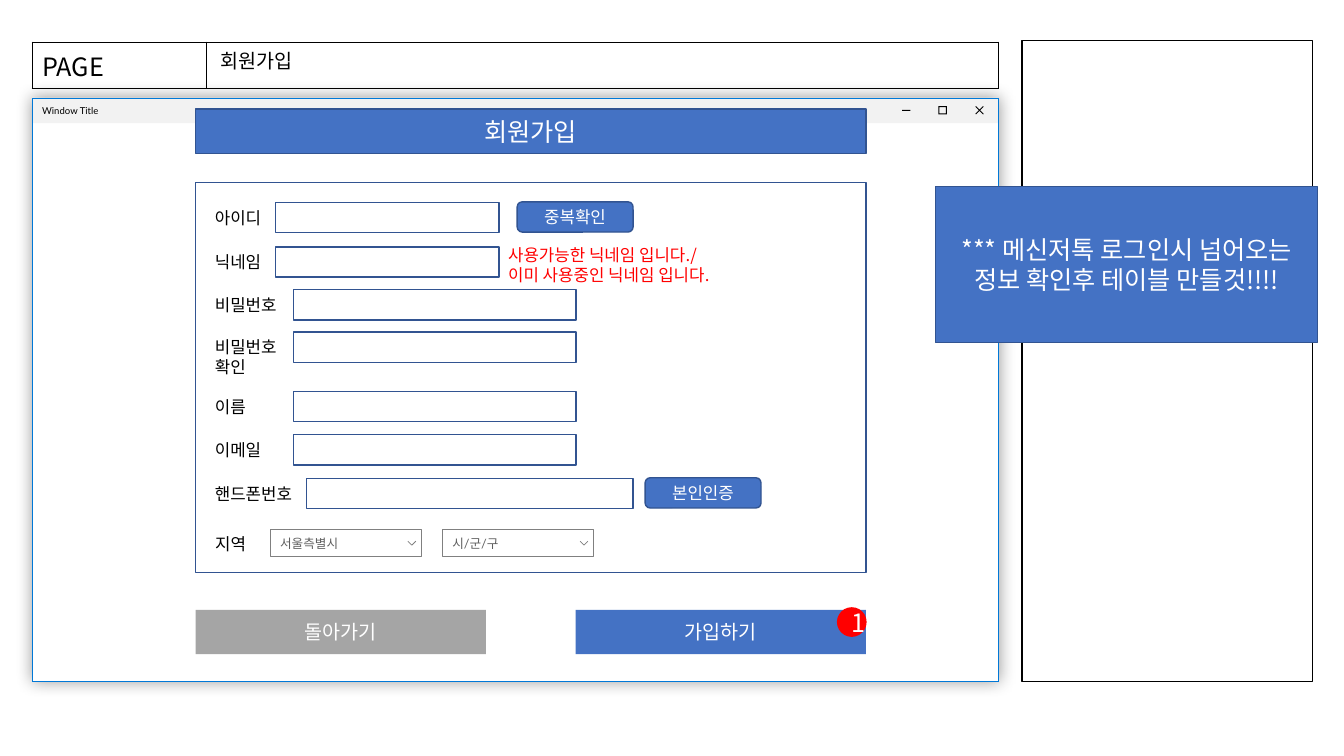
"""Build a wireframe slide of a sign-up page."""
from lxml.etree import SubElement
from pptx import Presentation
from pptx.dml.color import RGBColor
from pptx.enum.shapes import MSO_SHAPE
from pptx.enum.text import MSO_ANCHOR, PP_ALIGN
from pptx.oxml import parse_xml
from pptx.oxml.ns import nsdecls, qn
from pptx.util import Pt

BLACK = RGBColor(0, 0, 0)
WHITE = RGBColor(255, 255, 255)
RED = RGBColor(255, 0, 0)
BLUE = RGBColor(0x44, 0x72, 0xC4)
NAVY = RGBColor(0x32, 0x54, 0x91)
GRAY = RGBColor(0xA5, 0xA5, 0xA5)
BAR_GRAY = RGBColor(0xF2, 0xF2, 0xF2)
EDGE_GRAY = RGBColor(0x80, 0x80, 0x80)
CHOICE_GRAY = RGBColor(0x5F, 0x5F, 0x5F)
WINDOW_BLUE = RGBColor(0, 0x78, 0xD7)
KOREAN_FONT = "Noto Sans CJK KR"
RECT, ROUND, OVAL = MSO_SHAPE.RECTANGLE, MSO_SHAPE.ROUNDED_RECTANGLE, MSO_SHAPE.OVAL


def style_shape(shape, fill=None, line=None, width=1):
    """Set fill and outline, and drop the shadow."""
    shape.shadow.inherit = False
    if fill is None:
        shape.fill.background()
    else:
        shape.fill.solid()
        shape.fill.fore_color.rgb = fill
    if line is None:
        shape.line.fill.background()
    else:
        shape.line.color.rgb = line
        shape.line.width = Pt(width)
    return shape


def write_text(frame, lines, size, color, align=PP_ALIGN.LEFT, font=KOREAN_FONT):
    """Write one paragraph for each line."""
    for index, line in enumerate(lines):
        para = frame.add_paragraph() if index else frame.paragraphs[0]
        para.alignment = align
        span = para.add_run()
        span.text = line
        span.font.size = Pt(size)
        span.font.name = font
        span.font.color.rgb = color
        SubElement(span.font._element, qn("a:ea")).set("typeface", KOREAN_FONT)


deck = Presentation()
deck.slide_width, deck.slide_height = Pt(960), Pt(540)
page = deck.slides.add_slide(deck.slide_layouts[6])
shapes = page.shapes

side_panel = shapes.add_shape(RECT, Pt(730), Pt(28.8), Pt(207.4), Pt(457.9))
style_shape(side_panel, None, BLACK, 0.75)

window = shapes.add_shape(RECT, Pt(23), Pt(70), Pt(690), Pt(416.5))
style_shape(window, WHITE, WINDOW_BLUE, 0.5)
effects = window._element.spPr.find(qn("a:effectLst"))
effects.append(parse_xml(
    f'<a:outerShdw {nsdecls("a")} blurRad="{Pt(12)}" dist="0" algn="ctr" rotWithShape="0">'
    '<a:srgbClr val="000000"><a:alpha val="40000"/></a:srgbClr></a:outerShdw>'))

title_bar = shapes.add_shape(RECT, Pt(23), Pt(70), Pt(690), Pt(18))
style_shape(title_bar, BAR_GRAY)
title_bar.text_frame.vertical_anchor = MSO_ANCHOR.MIDDLE
title_bar.text_frame.margin_top = Pt(4.3)
write_text(title_bar.text_frame, ["Window Title"], 6.8, BLACK, font="Lato")

style_shape(shapes.add_shape(RECT, Pt(644.4), Pt(78.5), Pt(6), Pt(0.7)), BLACK)

maximize = shapes.build_freeform(Pt(670.3), Pt(75.8))
for left, top, size in ((670.3, 75.8, 6), (671, 76.5, 4.6)):
    maximize.move_to(Pt(left), Pt(top))
    corners = ((0, size), (size, size), (size, 0))
    maximize.add_line_segments([(Pt(left + x), Pt(top + y)) for x, y in corners])
style_shape(maximize.convert_to_shape(), BLACK)

CROSS = ((0, 0.5), (2.5, 3), (0, 5.5), (0.5, 6), (3, 3.5), (5.5, 6),
         (6, 5.5), (3.5, 3), (6, 0.5), (5.5, 0), (3, 2.5))
close = shapes.build_freeform(Pt(697.2), Pt(75.8))
close.add_line_segments([(Pt(696.7 + x), Pt(75.8 + y)) for x, y in CROSS])
style_shape(close.convert_to_shape(), BLACK)

window_edge = shapes.add_shape(RECT, Pt(23), Pt(70), Pt(690), Pt(416.5))
style_shape(window_edge, None, WINDOW_BLUE, 0.5)

header_frame = shapes.add_table(1, 2, Pt(23), Pt(30.2), Pt(690), Pt(29.5))
header = header_frame.table
header.first_row = header.horz_banding = False
for column, width in enumerate((124.6, 565.4)):
    header.columns[column].width = Pt(width)
    cell = header.cell(0, column)
    properties = cell._tc.get_or_add_tcPr()
    for side in ("lnL", "lnR", "lnT", "lnB"):
        properties.append(parse_xml(
            f'<a:{side} {nsdecls("a")} w="{Pt(1)}"><a:solidFill>'
            f'<a:srgbClr val="000000"/></a:solidFill></a:{side}>'))
    cell.fill.background()
write_text(header.cell(0, 0).text_frame, ["PAGE"], 18, BLACK)

form = shapes.add_shape(RECT, Pt(139.7), Pt(130.3), Pt(478.8), Pt(278.6))
style_shape(form, WHITE, NAVY)

BUTTONS = (
    (RECT, 139.7, 77.8, 478.8, 31.7, BLUE, NAVY, "회원가입", 18),
    (RECT, 411.1, 435.6, 207.4, 31.7, BLUE, None, "가입하기", 14),
    (OVAL, 598.3, 434.2, 20.2, 20.2, RED, RED, "1", 18),
    (RECT, 139.7, 435.6, 207.4, 31.7, GRAY, None, "돌아가기", 14),
    (RECT, 668.2, 133.2, 272.9, 111.6, BLUE, NAVY,
     "*** 메신저톡 로그인시 넘어오는 정보 확인후 테이블 만들것!!!!", 18),
    (ROUND, 369.4, 144.2, 82.8, 21.6, BLUE, NAVY, "중복확인", 12),
    (ROUND, 460.8, 341.3, 82.8, 21.6, BLUE, NAVY, "본인인증", 12),
)
for kind, left, top, width, height, fill, line, label, size in BUTTONS:
    button = shapes.add_shape(kind, Pt(left), Pt(top), Pt(width), Pt(height))
    style_shape(button, fill, line)
    button.text_frame.vertical_anchor = MSO_ANCHOR.MIDDLE
    write_text(button.text_frame, [label], size, WHITE, PP_ALIGN.CENTER)

FIELDS = (
    (["아이디"], 144.7, 196.6, 160),
    (["닉네임"], 176.4, 196.6, 160),
    (["비밀번호"], 206.9, 209.5, 202),
    (["비밀번호", "확인"], 237.2, 209.5, 202),
    (["이름"], 279.7, 209.5, 202),
    (["이메일"], 310.5, 209.5, 202),
    (["핸드폰번호"], 341.8, 219, 233.3),
)
texts = [(["지역"], 146.6, 378, 50, 12, BLACK),
         (["회원가입"], 150.5, 33.1, 537.8, 14, BLACK),
         (["사용가능한 닉네임 입니다./", "이미 사용중인 닉네임 입니다."],
          355.9, 171.4, 175.7, 12, RED)]
for lines, top, left, width in FIELDS:
    entry = shapes.add_shape(RECT, Pt(left), Pt(top), Pt(width), Pt(21.6))
    style_shape(entry, WHITE, NAVY)
    texts.append((lines, 146.4, top, 88.6, 12, BLACK))

for left, choice in ((193, "서울측별시"), (316, "시/군/구")):
    dropdown = shapes.add_shape(RECT, Pt(left), Pt(378.4), Pt(108.2), Pt(19.2))
    style_shape(dropdown, WHITE, EDGE_GRAY, 0.5)
    frame = dropdown.text_frame
    frame.vertical_anchor = MSO_ANCHOR.MIDDLE
    frame.margin_right = Pt(20)
    write_text(frame, [choice], 9, CHOICE_GRAY, font="Lato")
    chevron = shapes.build_freeform(Pt(left + 104), Pt(386.6))
    chevron.add_line_segments(
        [(Pt(left + 101.2), Pt(389.4)), (Pt(left + 98.4), Pt(386.6))], close=False)
    style_shape(chevron.convert_to_shape(), WHITE, EDGE_GRAY, 0.5)

for lines, left, top, width, size, color in texts:
    box = shapes.add_textbox(Pt(left), Pt(top), Pt(width), Pt(21.6 * len(lines)))
    box.text_frame.word_wrap = True
    write_text(box.text_frame, lines, size, color)
    if size == 14:
        box.text_frame.paragraphs[0].line_spacing = 0.9

deck.save("out.pptx")
